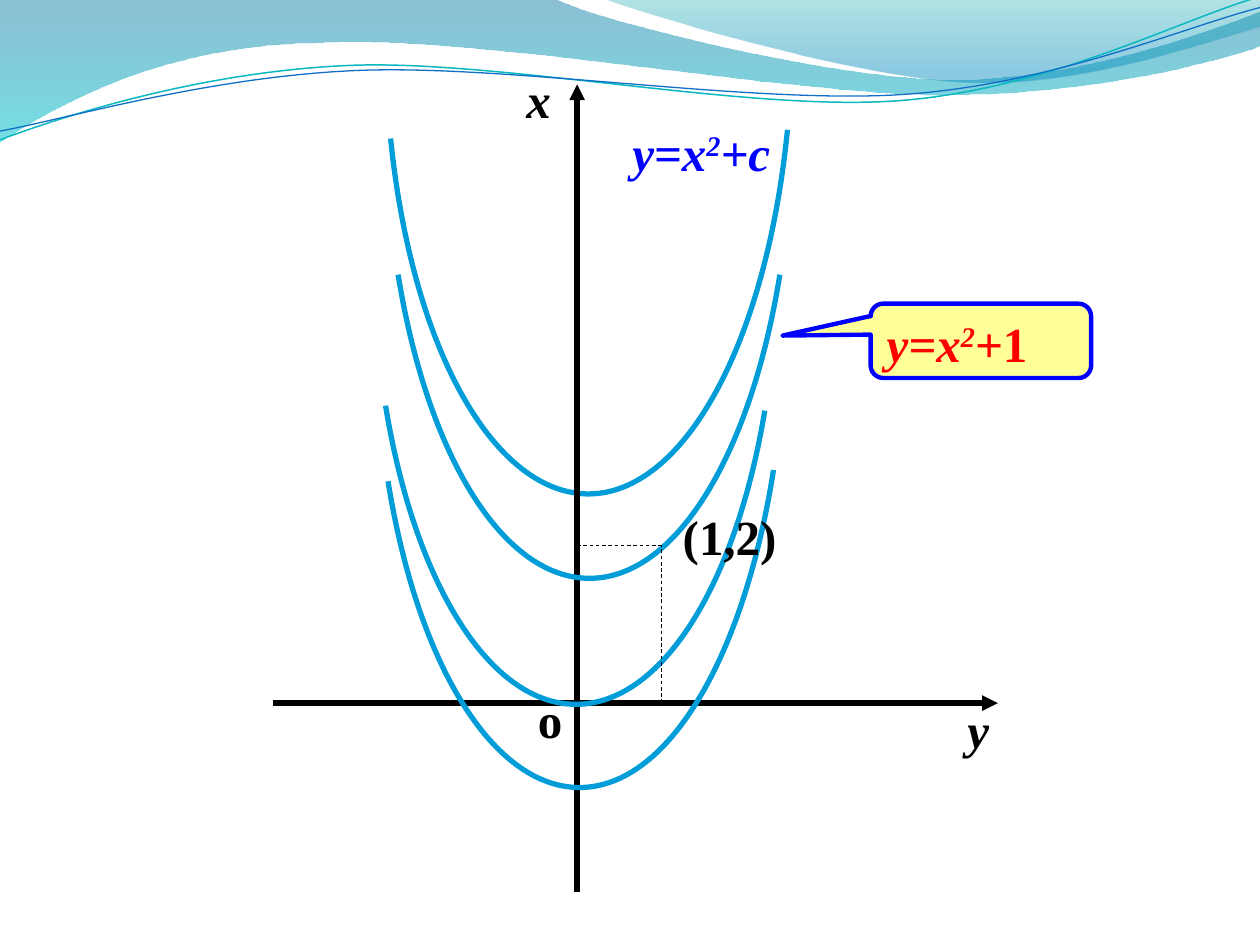
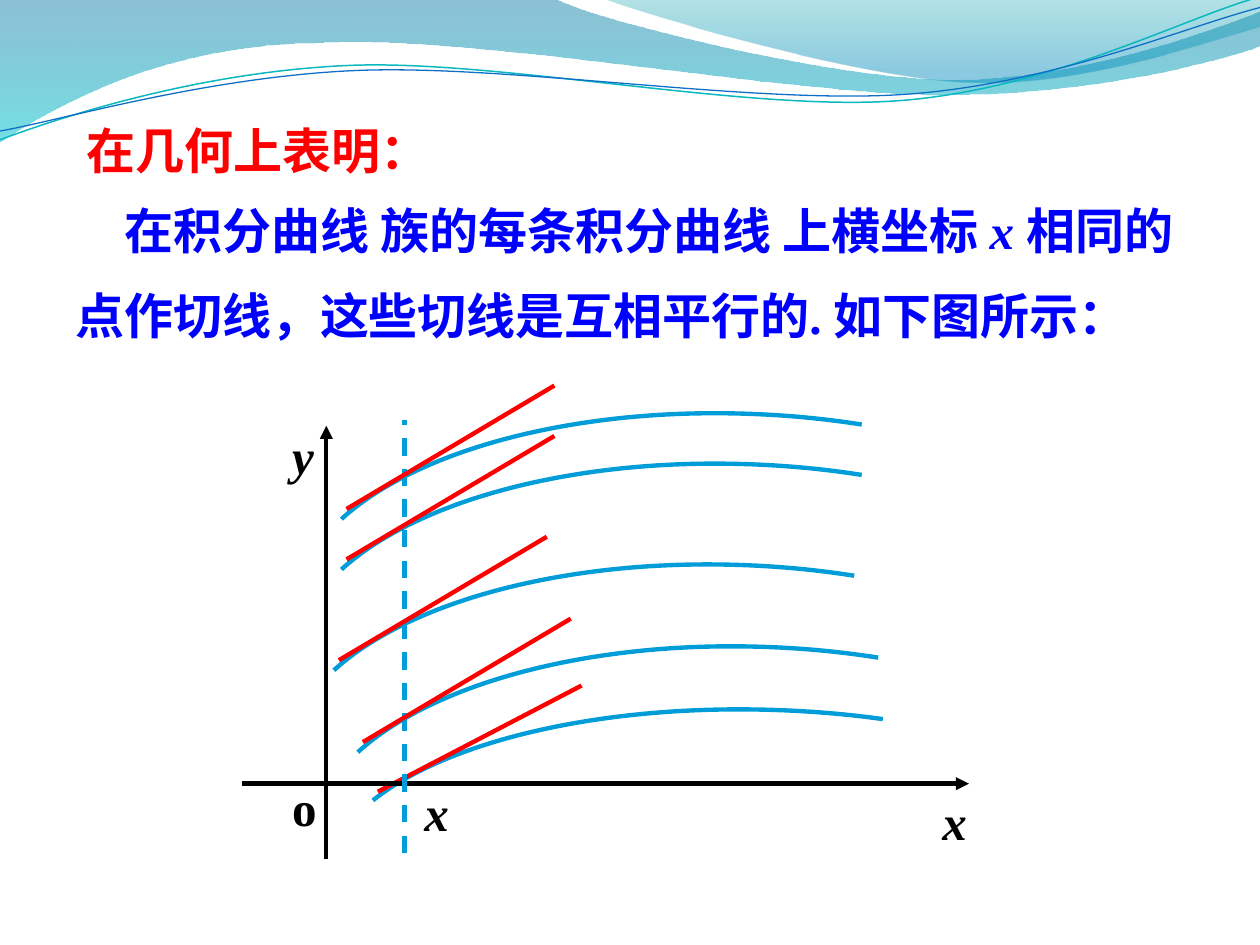
from lxml import etree
from pptx import Presentation
from pptx.dml.color import RGBColor
from pptx.enum import dml, shapes, text
from pptx.oxml import ns
from pptx.util import Inches, Pt

BLACK = RGBColor(0x00, 0x00, 0x00)
RED = RGBColor(0xFF, 0x00, 0x00)
BLUE = RGBColor(0x00, 0x00, 0xFF)
CURVE_BLUE = RGBColor(0x00, 0x9D, 0xD9)
CALLOUT_YELLOW = RGBColor(0xFF, 0xFF, 0x99)
WAVE_TEAL = RGBColor(0x0A, 0xB8, 0xBF)
WAVE_BLUE = RGBColor(0x0F, 0x6F, 0xC6)
BAND_TOP = RGBColor(0x00, 0x74, 0xA1)
BAND_BOTTOM = RGBColor(0x00, 0xC6, 0xCF)
CREST_TOP = RGBColor(0x00, 0xA1, 0xA9)
CREST_BOTTOM = RGBColor(0x00, 0x8B, 0xBF)

BAND = [
    [(4.4, -0.01)],
    [(4.76, 0.17), (6.64, 0.63), (7.58, 0.63)],
    [(8.53, 0.63), (9.58, 0.26), (10, 0.09)],
    [(10.01, 0.36)],
    [(9.83, 0.44), (8.7, 0.76), (7.46, 0.75)],
    [(6.22, 0.75), (3.82, 0.28), (2.57, 0.34)],
    [(1.29, 0.35), (0.46, 0.83), (-0.01, 1.13)],
]
CREST = [
    [(5.09, 0.11), (6.82, 0.62), (7.69, 0.65)],
    [(8.56, 0.69), (9.61, 0.32), (10, 0.21)],
    [(10, 0)],
]
TEAL_WAVE = [
    [(0.48, 0.93), (1.58, 0.57), (2.77, 0.52)],
    [(3.95, 0.47), (5.93, 0.89), (7.13, 0.8)],
    [(8.33, 0.71), (9.38, 0.15), (9.98, -0.02)],
]
BLUE_WAVE = [
    [(0.47, 0.96), (1.64, 0.61), (2.83, 0.56)],
    [(4.03, 0.51), (5.97, 0.83), (7.17, 0.75)],
    [(8.36, 0.67), (9.41, 0.21), (10, 0.06)],
]


class Board:
    font_name = "Times New Roman"
    font_size = Pt(28)

    def __init__(self):
        self.deck = Presentation()
        self.deck.slide_width = Inches(10)
        self.deck.slide_height = Inches(7.5)
        self.page = None

    def new_page(self, layout):
        self.page = self.deck.slides.add_slide(self.deck.slide_layouts[layout])

    def outline(self, start, segments, close=False):
        points = [point for segment in segments for point in segment]
        builder = self.page.shapes.build_freeform(Inches(start[0]), Inches(start[1]))
        builder.add_line_segments([(Inches(x), Inches(y)) for x, y in points], close)
        shape = builder.convert_to_shape()
        shape.shadow.inherit = False
        steps = iter(list(shape.element.iter(ns.qn("a:lnTo"))))
        for segment in segments:
            parts = [next(steps) for _ in segment]
            if len(parts) == 3:
                bezier = etree.Element(ns.qn("a:cubicBezTo"))
                parts[0].addprevious(bezier)
                for part in parts:
                    bezier.append(part[0])
                    part.getparent().remove(part)
        return shape

    def curve(self, start, segments, color=CURVE_BLUE, width=2.5):
        shape = self.outline(start, segments)
        shape.fill.background()
        shape.line.color.rgb = color
        shape.line.width = Pt(width)
        return shape

    def gradient(self, start, segments, stops):
        shape = self.outline(start, segments, close=True)
        shape.line.fill.background()
        shape.fill.gradient()
        shape.fill.gradient_angle = 270
        for stop, (position, color, _) in zip(shape.fill.gradient_stops, stops):
            stop.position = position
            stop.color.rgb = color
        tones = shape.element.spPr.iter(ns.qn("a:srgbClr"))
        for tone, (_, _, opacity) in zip(list(tones), stops):
            etree.SubElement(tone, ns.qn("a:alpha")).set("val", str(opacity * 1000))
        return shape

    def add_waves_to_master(self):
        waves = [
            self.gradient((0, -0.01), BAND, [(0, BAND_TOP, 45), (1, BAND_BOTTOM, 55)]),
            self.gradient((4.79, -0.01), CREST, [(0, CREST_TOP, 30), (0.8, CREST_BOTTOM, 45)]),
            self.curve((0, 1.11), TEAL_WAVE, WAVE_TEAL, 0.85),
            self.curve((0, 1.04), BLUE_WAVE, WAVE_BLUE, 0.75),
        ]
        tree = self.deck.slide_master.shapes.element
        for place, wave in enumerate(waves, start=2):
            tree.insert(place, wave.element)

    def line(self, start, end, color=BLACK, width=2.5, dashed=False, arrow=False):
        line = self.page.shapes.add_connector(
            shapes.MSO_CONNECTOR.STRAIGHT, *(Inches(value) for value in (*start, *end)))
        line.line.color.rgb = color
        line.line.width = Pt(width)
        if dashed:
            line.line.dash_style = dml.MSO_LINE.DASH
        if arrow:
            stroke = line.element.spPr.find(ns.qn("a:ln"))
            etree.SubElement(stroke, ns.qn("a:tailEnd")).set("type", "triangle")
        etree.SubElement(line.element.spPr, ns.qn("a:effectLst"))

    def set_spans(self, box, spans, color):
        frame = box.text_frame
        frame.word_wrap = True
        frame.vertical_anchor = text.MSO_ANCHOR.TOP
        para = frame.paragraphs[0]
        para.alignment = text.PP_ALIGN.LEFT
        for wording, marks in spans:
            span = para.add_run()
            span.text = wording
            span.font.name = self.font_name
            span.font.size = self.font_size
            span.font.bold = True
            span.font.italic = "i" in marks
            span.font.color.rgb = color
            if "^" in marks:
                span._r.get_or_add_rPr().set("baseline", "30000")
        return para

    def label(self, left, top, width, spans, color=BLACK):
        box = self.page.shapes.add_textbox(Inches(left), Inches(top), Inches(width), Inches(0.57))
        para = self.set_spans(box, spans, color)
        box.text_frame.auto_size = text.MSO_AUTO_SIZE.SHAPE_TO_FIT_TEXT
        return para

    def title(self, wording):
        box = self.page.shapes.title
        box.left, box.top, box.width, box.height = map(Inches, (0.59, 0.91, 5, 0.57))
        self.set_spans(box, [(wording, "")], RED)
        box.text_frame.auto_size = text.MSO_AUTO_SIZE.NONE

    def callout(self, left, top, width, height, adjustments, spans):
        box = self.page.shapes.add_shape(
            shapes.MSO_SHAPE.ROUNDED_RECTANGULAR_CALLOUT,
            Inches(left), Inches(top), Inches(width), Inches(height))
        for index, value in enumerate(adjustments):
            box.adjustments[index] = value
        box.shadow.inherit = False
        box.fill.solid()
        box.fill.fore_color.rgb = CALLOUT_YELLOW
        box.line.color.rgb = BLUE
        box.line.width = Pt(2.5)
        self.set_spans(box, spans, RED)

    def parabola(self, left, vertex, right, lean=0.155, reach=0.45):
        def controls(end):
            across, down = vertex[0] - end[0], vertex[1] - end[1]
            return [(end[0] + lean * across, end[1] + 0.6 * down),
                    (vertex[0] - reach * across, vertex[1])]

        self.curve(right, [[*controls(right), vertex], [*controls(left)[::-1], left]], width=3)

    def curve_with_tangent(self, left, top, wide=1, tall=1):
        def at(x, y):
            return left + wide * x, top + tall * y

        self.curve(at(0, 0.84), [
            [at(0.57, 0.32), at(1.71, 0), at(2.96, 0)],
            [at(3.36, 0), at(3.75, 0.03), at(4.13, 0.09)],
        ])
        self.line(at(0.04, 0.76), at(1.69, -0.22), RED)


def parabola_page(board):
    board.new_page(6)
    board.add_waves_to_master()
    board.parabola((3.1, 1.1), (4.67, 3.92), (6.25, 1.03), lean=0.11, reach=0.47)
    board.line((4.58, 7.08), (4.58, 0.67), width=3, arrow=True)
    board.label(4.08, 0.5, 0.83, [("x", "i")])
    board.callout(6.91, 2.41, 1.75, 0.59, (-0.9, -0.07, 0.17),
                  [("y=x", "i"), ("2", "i^"), ("+", "i"), ("1", "")])
    board.line((2.17, 5.58), (7.92, 5.58), width=3, arrow=True)
    board.parabola((3.08, 3.82), (4.6, 6.25), (6.14, 3.73))
    board.parabola((3.16, 2.18), (4.68, 4.59), (6.19, 2.18))
    board.parabola((3.06, 3.22), (4.57, 5.59), (6.07, 3.26))
    for start in ((5.25, 5.58), (4.58, 4.33)):
        board.line(start, (5.25, 4.33), width=0.5, dashed=True)
    board.label(5.32, 3.97, 1.02, [("(1,2)", "")])
    board.label(4.92, 0.92, 2.83, [("y=x", "i"), ("2", "i^"), ("+c", "i")], BLUE)
    board.label(4.17, 5.42, 1, [("o", "")])
    board.label(7.58, 5.5, 1.42, [("y", "i")])


def tangent_page(board):
    board.new_page(5)
    board.title("在几何上表明：")
    opening = board.label(0.5, 1.54, 9.5, [
        ("在积分曲线 族的每条积分曲线 上横坐标 ", ""), ("x ", "i"), ("相同的", "")], BLUE)
    opening._p.get_or_add_pPr().set("indent", str(Inches(0.39)))
    board.label(0.5, 2.22, 9.08, [("点作切线，这些切线是互相平行的. 如下图所示：", "")], BLUE)
    board.curve_with_tangent(2.96, 5.63, wide=0.98, tall=0.86)
    board.line((1.92, 6.22), (7.69, 6.22), arrow=True)
    board.line((2.59, 6.82), (2.59, 3.38), arrow=True)
    board.line((3.21, 6.77), (3.21, 3.33), CURVE_BLUE, dashed=True)
    for left, top in ((2.71, 3.28), (2.71, 3.68), (2.65, 4.48), (2.84, 5.13)):
        board.curve_with_tangent(left, top)
    board.label(2.22, 6.12, 0.61, [("o", "")])
    board.label(7.38, 6.23, 0.55, [("x", "i")])
    board.label(2.22, 3.33, 0.43, [("y", "i")])
    board.label(3.27, 6.16, 0.68, [("x", "i")])


def main():
    board = Board()
    parabola_page(board)
    tangent_page(board)
    board.deck.save("out.pptx")


if __name__ == "__main__":
    main()
